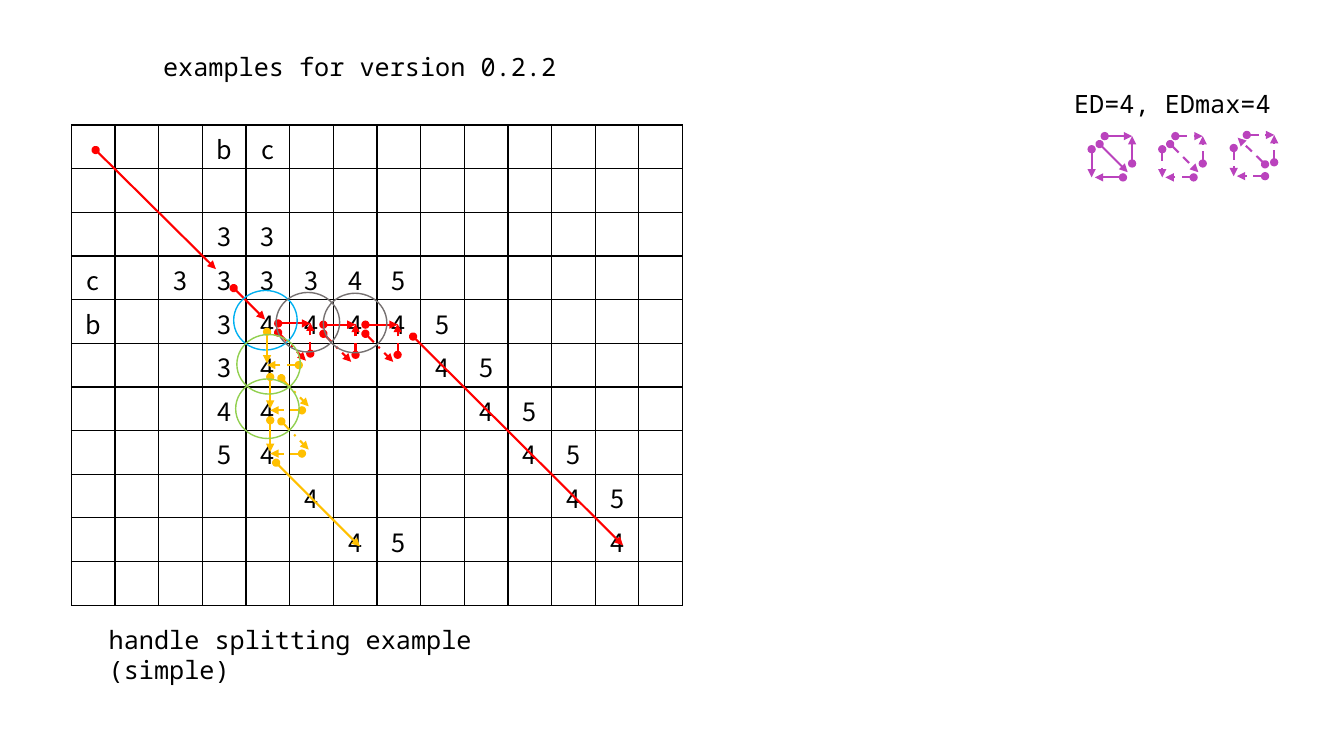
from lxml.etree import SubElement
from pptx import Presentation
from pptx.dml.color import RGBColor
from pptx.enum.dml import MSO_LINE as Dash
from pptx.enum.shapes import MSO_CONNECTOR as Link, MSO_SHAPE as Preset
from pptx.enum.text import MSO_ANCHOR as Anchor, PP_ALIGN as Align
from pptx.oxml.ns import qn
from pptx.util import Cm, Pt

# Content; all lengths in cm
COLORS = {"black": "000000", "red": "FF0000", "amber": "FFC000", "purple": "BA43BD",
          "blue": "00B0F0", "gray": "767171", "green": "92D050"}
MONO, CJK = "Noto Sans Mono", "Noto Sans CJK SC"

CAPTIONS = [  # text, left, top, width
    ("ED=4, EDmax=4", 26.82, 2.11, 6.86),
    ("handle splitting example (simple)", 2.49, 15.6, 13.06),
    ("examples for version 0.2.2", 3.86, 1.17, 13.06),
]

# One string per matrix row, a dot for an empty cell
MATRIX = [
    "...bc.........",
    "..............",
    "...33.........",
    "c.333345......",
    "b..344445.....",
    "...34...45....",
    "...44....45...",
    "...54.....45..",
    ".....4.....45.",
    "......45....4.",
    "..............",
]
MATRIX_LEFT, MATRIX_TOP, CELL = 1.8, 3.15, 1.1

# Arrows: start x, start y, end x, end y, dash
RED_RUNS = [
    (2.41, 3.78, 5.44, 6.78, None),
    (10.41, 8.48, 15.7, 13.74, None),
    (5.89, 7.26, 6.68, 8.05, None),
]
AMBER_RUN = [(6.96, 11.66, 9.07, 13.77, None)]

# Arrow groups, relative to their origin
RED_SPLIT = [
    (0, 0.23, 0.7, 0.94, Dash.DASH_DOT),
    (0.81, 0.76, 0.81, -0.02, Dash.DASH),
    (0, 0, 0.81, 0, None),
]
RED_ORIGINS = [(7.01, 8.15), (8.15, 8.18), (9.21, 8.18)]

AMBER_STEP = [
    (0, 0, 0, 0.8, None),
    (0.8, 0.84, 0, 0.84, Dash.DASH),
]
AMBER_SPLIT = [(0.28, 0.03, 0.97, 0.74, Dash.DASH_DOT)] + AMBER_STEP
AMBER_GROUPS = [(6.73, 8.36, AMBER_STEP), (6.81, 9.5, AMBER_SPLIT), (6.81, 10.59, AMBER_SPLIT)]

LOOP_SIDES = [
    (0.79, 1.04, 0.08, 1.04),
    (1.02, 0.69, 1.02, 0),
    (0.33, 0, 1.02, 0),
    (0, 0.33, 0, 1.04),
]
FORWARD, BACKWARD = (0.2, 0.2, 0.91, 0.91), (0.79, 0.74, 0.1, 0.07)
LOOPS = [  # left, top, diagonal, dash
    (27.51, 3.43, FORWARD, None),
    (29.29, 3.43, FORWARD, Dash.DASH),
    (31.09, 3.4, BACKWARD, Dash.DASH),
]

RING_WIDTH, RING_HEIGHT = 1.6, 1.5
ROW_RINGS = [(5.89, 7.32, "blue"), (6.96, 7.37, "gray"), (8.15, 7.39, "gray")]
COLUMN_RINGS = [(5.97, 8.43, "green"), (5.94, 9.55, "green")]


def rgb(name):
    return RGBColor.from_string(COLORS[name])


def write(frame, text, font=MONO, size=18, color="black", align=Align.LEFT):
    paragraph = frame.paragraphs[0]
    paragraph.alignment = align
    run = paragraph.add_run()
    run.text = text
    run.font.name = font
    run.font.size = Pt(size)
    run.font.color.rgb = rgb(color)


def add_arrows(arrows, color, left=0, top=0):
    for x1, y1, x2, y2, dash in arrows:
        arrow = slide.shapes.add_connector(
            Link.STRAIGHT, Cm(left + x1), Cm(top + y1), Cm(left + x2), Cm(top + y2))
        arrow.line.color.rgb = rgb(color)
        arrow.line.width = Pt(1.5)
        if dash:
            arrow.line.dash_style = dash
        outline = arrow.line._get_or_add_ln()
        SubElement(outline, qn("a:headEnd"), type="oval")
        SubElement(outline, qn("a:tailEnd"), type="triangle")
        SubElement(arrow._element.spPr, qn("a:effectLst"))


def add_rings(rings):
    for left, top, color in rings:
        ring = slide.shapes.add_shape(
            Preset.OVAL, Cm(left), Cm(top), Cm(RING_WIDTH), Cm(RING_HEIGHT))
        ring.shadow.inherit = False
        ring.fill.background()
        ring.line.color.rgb = rgb(color)
        ring.line.width = Pt(1)


def format_cell(cell):
    cell.vertical_anchor = Anchor.TOP
    cell.margin_left = cell.margin_right = cell.margin_bottom = 0
    cell.margin_top = Cm(0.13)
    properties = cell._tc.get_or_add_tcPr()
    for edge in ("a:lnL", "a:lnR", "a:lnT", "a:lnB"):
        border = SubElement(properties, qn(edge), w=str(Pt(1)))
        SubElement(SubElement(border, qn("a:solidFill")), qn("a:srgbClr"), val=COLORS["black"])
    cell.fill.background()


deck = Presentation()
deck.slide_width, deck.slide_height = Cm(33.87), Cm(19.05)
slide = deck.slides.add_slide(deck.slide_layouts[6])

# Matrix
matrix = slide.shapes.add_table(
    len(MATRIX), len(MATRIX[0]), Cm(MATRIX_LEFT), Cm(MATRIX_TOP),
    Cm(CELL * len(MATRIX[0])), Cm(CELL * len(MATRIX))).table
matrix.first_row = matrix.horz_banding = False
for column in matrix.columns:
    column.width = Cm(CELL)
for row, marks in zip(matrix.rows, MATRIX):
    row.height = Cm(CELL)
    for cell, mark in zip(row.cells, marks):
        format_cell(cell)
        if mark != ".":
            write(cell.text_frame, mark, font=CJK, align=Align.CENTER)

# Captions
for text, left, top, width in CAPTIONS:
    caption = slide.shapes.add_textbox(Cm(left), Cm(top), Cm(width), Cm(1.02))
    caption.text_frame.word_wrap = True
    write(caption.text_frame, text)

# Red path along the row
add_arrows(RED_RUNS, "red")
for left, top in RED_ORIGINS:
    add_arrows(RED_SPLIT, "red", left, top)
add_rings(ROW_RINGS)

# Amber path down the column
for left, top, group in AMBER_GROUPS:
    add_arrows(group, "amber", left, top)
add_arrows(AMBER_RUN, "amber")
add_rings(COLUMN_RINGS)

# Purple loops
for left, top, diagonal, dash in LOOPS:
    add_arrows([(*side, dash) for side in LOOP_SIDES + [diagonal]], "purple", left, top)

deck.save("out.pptx")
